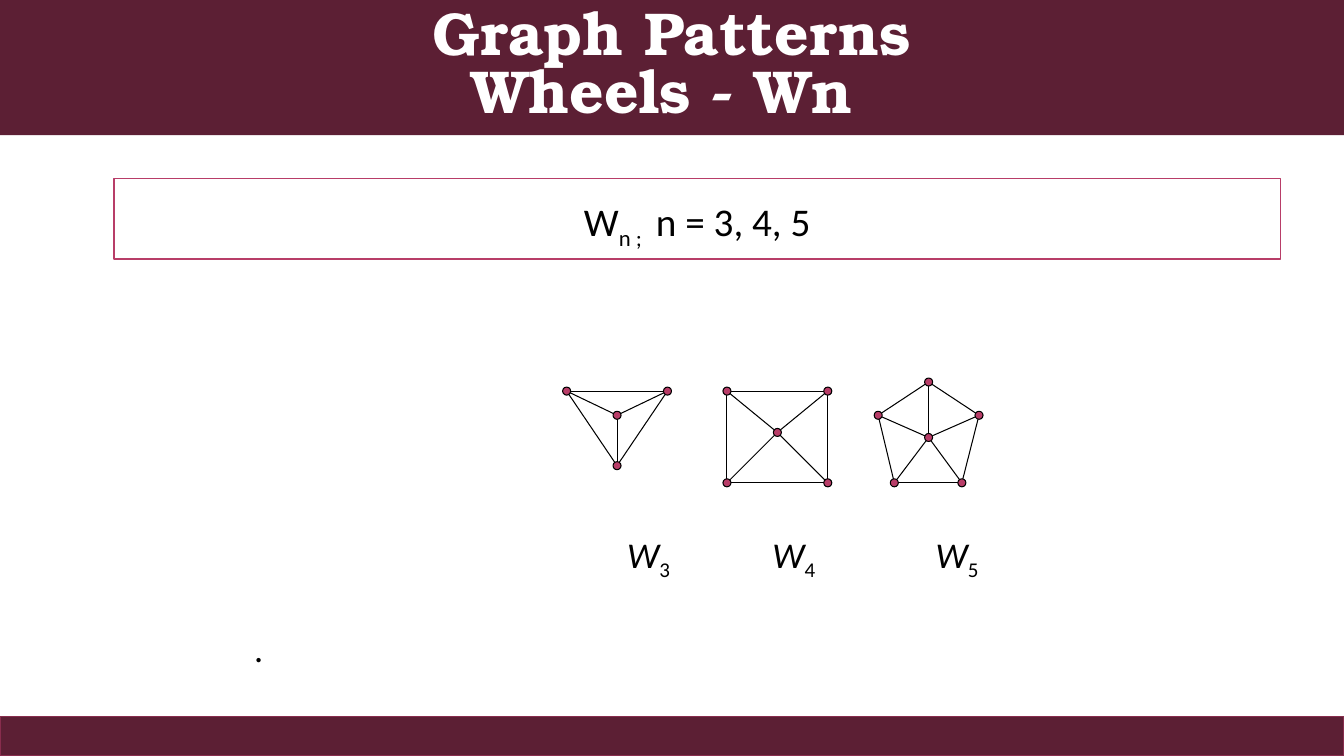
from math import hypot
from lxml import etree
from pptx import Presentation
from pptx.dml.color import RGBColor
from pptx.enum.shapes import MSO_CONNECTOR, MSO_SHAPE
from pptx.enum.text import MSO_ANCHOR, PP_ALIGN
from pptx.oxml.ns import qn
from pptx.util import Inches, Pt

RECT, OVAL = MSO_SHAPE.RECTANGLE, MSO_SHAPE.OVAL
STRAIGHT = MSO_CONNECTOR.STRAIGHT
CENTER, LEFT = PP_ALIGN.CENTER, PP_ALIGN.LEFT
MIDDLE, TOP = MSO_ANCHOR.MIDDLE, MSO_ANCHOR.TOP

WINE, PINK, EDGE = "5C1F34", "B83D68", "882D4D"
BLACK, WHITE = "000000", "FFFFFF"
BODY, HEAD = "Calibri", "TeX Gyre Bonum"
DOT = 0.08

TITLE = ["Graph Patterns", "Wheels - Wn "]
# Runs are (text, style): "i" is italic, "s" is subscript
FORMULA = [("W", ""), ("n ; ", "s"), (" n = 3, 4, 5", "")]
# Each wheel: hub centre, rim centres in order, left edge of its label
WHEELS = [
    ((6.12, 4.12), [(5.62, 3.88), (6.62, 3.88), (6.12, 4.62)], 6.22),
    ((7.71, 4.29), [(7.21, 3.88), (8.21, 3.88), (8.21, 4.79), (7.21, 4.79)], 7.66),
    ((9.21, 4.34), [(9.21, 3.79), (9.71, 4.12), (9.54, 4.79), (8.87, 4.79),
                    (8.71, 4.12)], 9.28),
]


def color(code):
    return RGBColor.from_string(code)


def shape(kind, box, fill, line=None, width=1):
    item = slide.shapes.add_shape(kind, *map(Inches, box))
    item.shadow.inherit = False
    item.fill.solid()
    item.fill.fore_color.rgb = color(fill)
    if line:
        item.line.color.rgb = color(line)
        item.line.width = Pt(width)
    else:
        item.line.fill.background()
    return item


def edge(a, b):
    """Join two dots, stopping at their outlines."""
    (ax, ay), (bx, by) = a, b
    cut = DOT / 2 / hypot(bx - ax, by - ay)
    dx, dy = (bx - ax) * cut, (by - ay) * cut
    ends = (ax + dx, ay + dy, bx - dx, by - dy)
    line = slide.shapes.add_connector(STRAIGHT, *map(Inches, ends))
    line.line.color.rgb = color(BLACK)
    line.line.width = Pt(0.75)
    etree.SubElement(line._element.spPr, qn("a:effectLst"))


def setup(item, align, anchor, top=0):
    """Ready a text frame and return its first paragraph."""
    frame = item.text_frame
    frame.word_wrap = True
    frame.vertical_anchor = anchor
    frame.margin_left = frame.margin_right = frame.margin_bottom = 0
    frame.margin_top = Inches(top)
    para = frame.paragraphs[0]
    para.alignment = align
    return para


def write(para, text, size, style="", face=BODY, ink=BLACK):
    run = para.add_run()
    run.text = text
    font = run.font
    font.name, font.size = face, Pt(size)
    font.color.rgb = color(ink)
    font.bold = "b" in style
    font.italic = "i" in style
    if "s" in style:
        run._r.get_or_add_rPr().set("baseline", "-25000")


def label(left, top, runs):
    box = slide.shapes.add_textbox(*map(Inches, (left, top, 0.7, 0.45)))
    para = setup(box, LEFT, TOP)
    for text, style in runs:
        write(para, text, 25.9, style)


deck = Presentation()
deck.slide_width, deck.slide_height = Inches(13.33), Inches(7.5)
slide = deck.slides.add_slide(deck.slide_layouts[6])

for hub, rim, left in WHEELS:
    for a, b in zip(rim, rim[1:] + rim[:1]):
        edge(a, b)
        edge(hub, a)
    for x, y in [hub] + rim:
        shape(OVAL, (x - DOT / 2, y - DOT / 2, DOT, DOT), PINK, BLACK, 0.75)
    label(left, 5.28, [("W", "i"), (str(len(rim)), "s")])
label(2.52, 6.21, [(".", "")])

shape(RECT, (0, 7.11, 13.33, 0.39), WINE, EDGE)
para = setup(shape(RECT, (0, 0, 13.33, 1.34), WINE), CENTER, MIDDLE)
para.line_spacing = 0.8
for n, text in enumerate(TITLE):
    if n:
        para.add_line_break()
    write(para, text, 43.2, "b", HEAD, WHITE)

para = setup(shape(RECT, (1.13, 1.77, 11.57, 0.8), WHITE, PINK), CENTER, MIDDLE, 0.1)
for text, style in FORMULA:
    write(para, text, 28, style)

deck.save("out.pptx")
